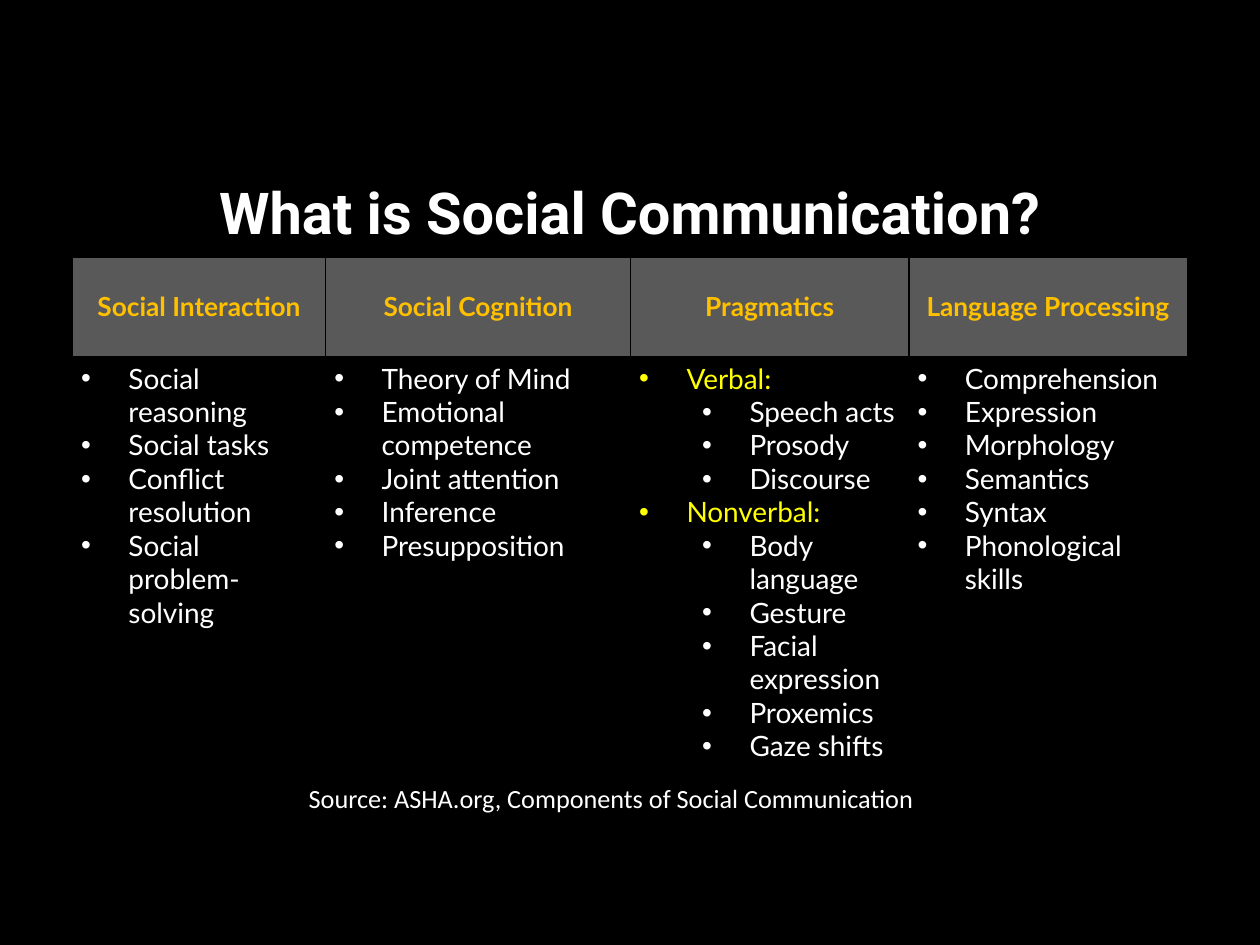
from dataclasses import dataclass

from lxml import etree
from pptx import Presentation
from pptx import util as u
from pptx.dml.color import RGBColor
from pptx.enum import text
from pptx.oxml.ns import qn

Pt = u.Pt

TITLE = "What is Social Communication?"
SOURCE = "Source: ASHA.org, Components of Social Communication"
# Each column: heading, width, list of (level, item)
COLUMNS = [
    ("Social Interaction", 144.7, [
        (0, "Social reasoning"), (0, "Social tasks"),
        (0, "Conflict resolution"), (0, "Social problem-solving")]),
    ("Social Cognition", 174.2, [
        (0, "Theory of Mind"), (0, "Emotional competence"),
        (0, "Joint attention"), (0, "Inference"), (0, "Presupposition")]),
    ("Pragmatics", 159.1, [
        (0, "Verbal:"), (1, "Speech acts"), (1, "Prosody"), (1, "Discourse"),
        (0, "Nonverbal:"), (1, "Body language"), (1, "Gesture"),
        (1, "Facial expression"), (1, "Proxemics"), (1, "Gaze shifts")]),
    ("Language Processing", 159.1, [
        (0, "Comprehension"), (0, "Expression"), (0, "Morphology"),
        (0, "Semantics"), (0, "Syntax"), (0, "Phonological skills")]),
]
ROW_HEIGHTS = (56.9, 236)
INDENT, LEVEL_STEP = 27, 36


@dataclass(frozen=True)
class Theme:
    back: str = "000000"
    ink: str = "FFFFFF"
    header_fill: str = "595959"
    header_ink: str = "FFC000"
    group_ink: str = "FFFF00"
    title_font: str = "Roboto"
    table_font: str = "Lato"
    source_font: str = "Calibri"
    title_size: float = 33
    header_size: float = 15
    item_size: float = 16
    source_size: float = 15


THEME = Theme()


def style(p, font, size, color, bold=False):
    for r in p.runs:
        r.font.name, r.font.size, r.font.bold = font, Pt(size), bold
        r.font.color.rgb = RGBColor.from_string(color)


def place(sp, left, top, width, height):
    sp.left, sp.top, sp.width, sp.height = map(Pt, (left, top, width, height))


def add_bullet(p, level):
    pPr = p._p.get_or_add_pPr()
    pPr.set("marL", str(Pt(INDENT + LEVEL_STEP * level)))
    pPr.set("indent", str(Pt(-INDENT)))
    etree.SubElement(pPr, qn("a:buFont"), typeface="Arial")
    etree.SubElement(pPr, qn("a:buChar"), char="•")


def format_cell(cell, fill=None):
    """Set margins, a thin border on every side, and the fill."""
    cell.margin_left = cell.margin_right = Pt(5)
    cell.margin_top = cell.margin_bottom = Pt(2.8)
    tcPr = cell._tc.get_or_add_tcPr()
    for side in ("lnL", "lnR", "lnT", "lnB"):
        ln = etree.SubElement(tcPr, qn(f"a:{side}"), w=str(Pt(1)))
        solid = etree.SubElement(ln, qn("a:solidFill"))
        etree.SubElement(solid, qn("a:srgbClr"), val=THEME.back)
    if fill:
        cell.fill.solid()
        cell.fill.fore_color.rgb = RGBColor.from_string(fill)
    else:
        cell.fill.background()


def fill_header(cell, heading):
    format_cell(cell, THEME.header_fill)
    cell.vertical_anchor = text.MSO_ANCHOR.MIDDLE
    p = cell.text_frame.paragraphs[0]
    p.text, p.alignment = heading, text.PP_ALIGN.CENTER
    style(p, THEME.table_font, THEME.header_size, THEME.header_ink, True)


def fill_items(cell, items):
    format_cell(cell)
    tf = cell.text_frame
    tf.text = "\n".join(item for _, item in items)
    for p, (level, item) in zip(tf.paragraphs, items):
        p.level = level
        add_bullet(p, level)
        color = THEME.group_ink if item.endswith(":") else THEME.ink
        style(p, THEME.table_font, THEME.item_size, color)


def main():
    prs = Presentation()
    prs.slide_width, prs.slide_height = Pt(720), Pt(540)
    slide = prs.slides.add_slide(prs.slide_layouts[5])
    slide.background.fill.solid()
    slide.background.fill.fore_color.rgb = RGBColor.from_string(THEME.back)

    title = slide.shapes.title
    place(title, 49.7, 84.2, 620.6, 78.5)
    tf = title.text_frame
    tf.text, tf.vertical_anchor = TITLE, text.MSO_ANCHOR.MIDDLE
    p = tf.paragraphs[0]
    p.alignment, p.line_spacing = text.PP_ALIGN.CENTER, 0.9
    style(p, THEME.title_font, THEME.title_size, THEME.ink, True)

    source = slide.shapes.add_textbox(0, 0, 0, 0)
    place(source, 20.2, 443.5, 658, 25.2)
    tf = source.text_frame
    tf.text, tf.word_wrap = SOURCE, True
    p = tf.paragraphs[0]
    p.alignment = text.PP_ALIGN.CENTER
    style(p, THEME.source_font, THEME.source_size, THEME.ink)

    width = sum(w for _, w, _ in COLUMNS)
    frame = slide.shapes.add_table(2, len(COLUMNS), Pt(41.4), Pt(146.9),
                                   Pt(width), Pt(sum(ROW_HEIGHTS)))
    table = frame.table
    table.horz_banding = False
    for row, height in zip(table.rows, ROW_HEIGHTS):
        row.height = Pt(height)
    for i, (heading, col_width, items) in enumerate(COLUMNS):
        table.columns[i].width = Pt(col_width)
        fill_header(table.cell(0, i), heading)
        fill_items(table.cell(1, i), items)

    prs.save("out.pptx")


if __name__ == "__main__":
    main()
